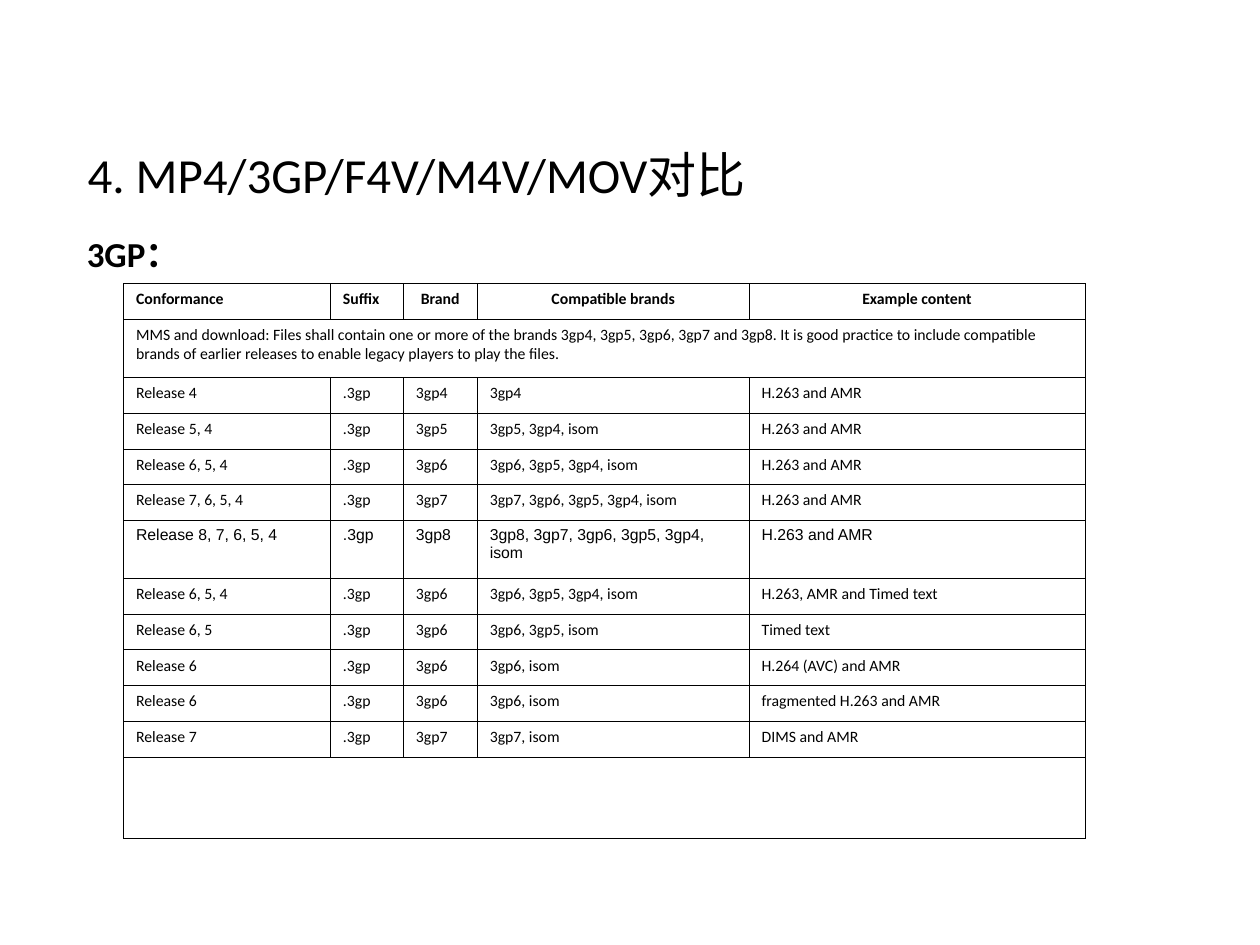
from dataclasses import dataclass

from lxml import etree
from pptx import Presentation
from pptx import util as u
from pptx.dml import color
from pptx.enum import text
from pptx.oxml import ns

BLACK = "000000"
BODY_FONT = "Calibri"
COLUMN_WIDTHS = (4.17, 1.47, 1.49, 5.48, 6.77)
LEFT, CENTER = text.PP_ALIGN.LEFT, text.PP_ALIGN.CENTER


@dataclass
class Row:
    cells: tuple[str, ...]
    height: float = 0.72
    font: str = BODY_FONT
    bold: bool = False
    centered_from: int = len(COLUMN_WIDTHS)


ROWS = (
    Row(("Conformance", "Suffix", "Brand", "Compatible brands", "Example content"),
        bold=True, centered_from=2),
    Row(("MMS and download: Files shall contain one or more of the brands 3gp4, 3gp5, "
         "3gp6, 3gp7 and 3gp8. It is good practice to include compatible brands of "
         "earlier releases to enable legacy players to play the files.",), height=1.17),
    Row(("Release 4", ".3gp", "3gp4", "3gp4", "H.263 and AMR")),
    Row(("Release 5, 4", ".3gp", "3gp5", "3gp5, 3gp4, isom", "H.263 and AMR")),
    Row(("Release 6, 5, 4", ".3gp", "3gp6", "3gp6, 3gp5, 3gp4, isom", "H.263 and AMR")),
    Row(("Release 7, 6, 5, 4", ".3gp", "3gp7", "3gp7, 3gp6, 3gp5, 3gp4, isom",
         "H.263 and AMR")),
    Row(("Release 8, 7, 6, 5, 4", ".3gp", "3gp8", "3gp8, 3gp7, 3gp6, 3gp5, 3gp4, isom",
         "H.263 and AMR"), height=1.17, font="Arial"),
    Row(("Release 6, 5, 4", ".3gp", "3gp6", "3gp6, 3gp5, 3gp4, isom",
         "H.263, AMR and Timed text")),
    Row(("Release 6, 5", ".3gp", "3gp6", "3gp6, 3gp5, isom", "Timed text")),
    Row(("Release 6", ".3gp", "3gp6", "3gp6, isom", "H.264 (AVC) and AMR")),
    Row(("Release 6", ".3gp", "3gp6", "3gp6, isom", "fragmented H.263 and AMR")),
    Row(("Release 7", ".3gp", "3gp7", "3gp7, isom", "DIMS and AMR")),
    Row(("",), height=1.65),
)


def rgb(value: str) -> color.RGBColor:
    return color.RGBColor.from_string(value)


def write(frame, content: str, size: float, font: str = BODY_FONT,
          bold: bool = False, align=LEFT) -> None:
    frame.text = content
    paragraph = frame.paragraphs[0]
    paragraph.alignment = align
    for run in paragraph.runs:
        run.font.size = u.Pt(size)
        run.font.name = font
        run.font.bold = bold
        run.font.color.rgb = rgb(BLACK)


def add_borders(cell, width: float = 0.45) -> None:
    properties = cell._tc.get_or_add_tcPr()
    for position, side in enumerate(("lnL", "lnR", "lnT", "lnB")):
        line = etree.Element(ns.qn(f"a:{side}"), w=str(u.Pt(width)))
        fill = etree.SubElement(line, ns.qn("a:solidFill"))
        etree.SubElement(fill, ns.qn("a:srgbClr"), val=BLACK)
        properties.insert(position, line)


def add_brand_table(slide, left: float, top: float) -> None:
    brands = slide.shapes.add_table(
        len(ROWS), len(COLUMN_WIDTHS), u.Cm(left), u.Cm(top),
        u.Cm(sum(COLUMN_WIDTHS)), u.Cm(sum(row.height for row in ROWS))).table
    brands.first_row = brands.horz_banding = False
    for column, width in zip(brands.columns, COLUMN_WIDTHS):
        column.width = u.Cm(width)
    for index, row in enumerate(ROWS):
        brands.rows[index].height = u.Cm(row.height)
        for cell in brands.rows[index].cells:
            cell.fill.background()
            add_borders(cell)
        if len(row.cells) == 1:
            brands.cell(index, 0).merge(brands.cell(index, len(COLUMN_WIDTHS) - 1))
        for position, content in enumerate(row.cells):
            align = CENTER if position >= row.centered_from else LEFT
            write(brands.cell(index, position).text_frame, content, 9,
                  row.font, row.bold, align)


def main() -> None:
    deck = Presentation()
    deck.slide_width, deck.slide_height = u.Cm(25.4), u.Cm(19.05)
    slide = deck.slides.add_slide(deck.slide_layouts[5])

    title = slide.shapes.title
    title.left, title.top = u.Cm(0), u.Cm(2.92)
    title.width, title.height = u.Cm(16.79), u.Cm(1.19)
    title.text_frame.auto_size = text.MSO_AUTO_SIZE.NONE
    title.text_frame.vertical_anchor = text.MSO_ANCHOR.MIDDLE
    write(title.text_frame, "4. MP4/3GP/F4V/M4V/MOV对比", 28, align=CENTER)

    subtitle = slide.shapes.add_textbox(u.Cm(1.5), u.Cm(4.72), u.Cm(21.87), u.Cm(10.59))
    subtitle.text_frame.word_wrap = True
    write(subtitle.text_frame, "3GP：", 20, bold=True)
    subtitle.text_frame.paragraphs[0].line_spacing = 0.8
    subtitle.text_frame.paragraphs[0].space_before = u.Pt(5)

    add_brand_table(slide, 2.49, 5.72)
    deck.save("out.pptx")


if __name__ == "__main__":
    main()
